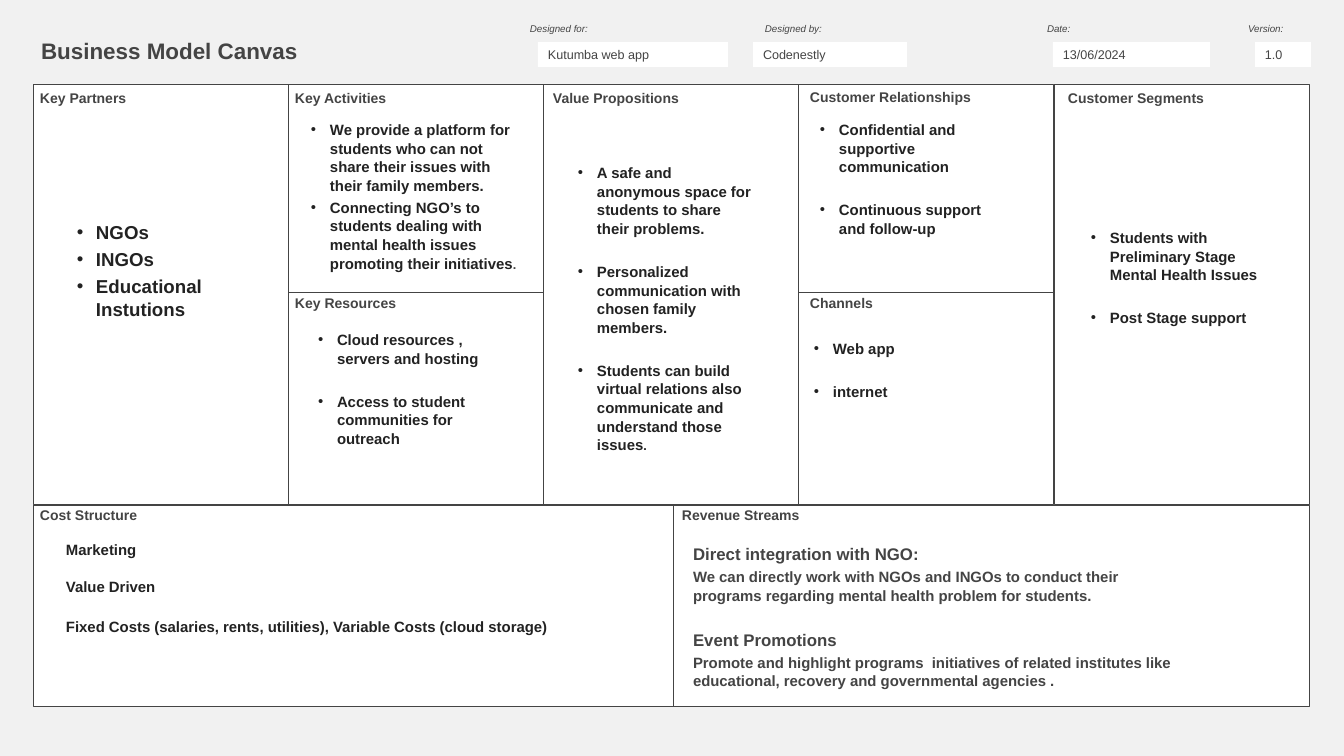
from lxml.etree import SubElement
from pptx import Presentation
from pptx.dml.color import RGBColor
from pptx.enum.shapes import MSO_SHAPE as SHAPE
from pptx.enum.text import MSO_ANCHOR as ANCHOR, MSO_AUTO_SIZE as AUTO, PP_ALIGN as ALIGN
from pptx.oxml.ns import qn
from pptx.util import Emu, Pt

PX = 914400 / 67.2
DARK, BLACK, WHITE = "444444", "222222", "FFFFFF"


def color(value):
    return RGBColor.from_string(value)


def put(sp, box, inset=(7, 3)):
    sp.left, sp.top, sp.width, sp.height = [Emu(round(v * PX)) for v in box]
    tf = sp.text_frame
    tf.word_wrap = True
    tf.auto_size = AUTO.NONE
    tf.vertical_anchor = ANCHOR.TOP
    tf.margin_left = tf.margin_right = Emu(round(inset[0] * PX))
    tf.margin_top = tf.margin_bottom = Emu(round(inset[1] * PX))
    return tf


prs = Presentation()
prs.slide_width, prs.slide_height = Emu(round(1344 * PX)), Emu(round(756 * PX))
s = prs.slides.add_slide(prs.slide_layouts[4])
s.background.fill.solid()
s.background.fill.fore_color.rgb = color("F1F1F1")

tf = put(s.shapes.title, (34, 34, 349, 34))
tf.text = "Business Model Canvas"
p = tf.paragraphs[0]
p.alignment = ALIGN.LEFT
f = p.runs[0].font
f.name, f.size, f.bold, f.color.rgb = "Arial", Pt(24), True, color(DARK)

panels = [
    (33, 84, 1276, 621),
    (33, 84, 255, 420),
    (288, 84, 255, 208),
    (288, 292, 255, 212),
    (543, 84, 255, 420),
    (798, 84, 255, 208),
    (798, 292, 255, 212),
    (1054, 84, 255, 420),
    (33, 505, 640, 201),
    (673, 505, 636, 201),
]
for i, box in enumerate(panels):
    sp = s.shapes.add_shape(SHAPE.RECTANGLE, *[Emu(round(v * PX)) for v in box])
    sp.shadow.inherit = False
    sp.line.width = Pt(0.75)
    sp.line.color.rgb = color(DARK if i else WHITE)
    if i:
        sp.fill.background()
    else:
        sp.fill.solid()
        sp.fill.fore_color.rgb = color(WHITE)
        sp.element.getparent().insert(2, sp.element)

labels = [
    ("Designed for:", 523, 20, 190),
    ("Designed by:", 758, 20, 190),
    ("Date:", 1040, 20, 165),
    ("Version:", 1241, 20, 84),
]
fields = [
    ("Kutumba web app", 538, 42, 190),
    ("Codenestly", 753, 42, 154),
    ("13/06/2024", 1053, 42, 157),
    ("1.0", 1255, 42, 56),
]
headings = [
    ("Key Partners", 33, 87, 237),
    ("Key Activities", 288, 87, 237),
    ("Key Resources", 288, 292, 237),
    ("Value Propositions", 546, 87, 237),
    ("Customer Relationships", 803, 86, 237),
    ("Channels", 803, 292, 237),
    ("Customer Segments", 1061, 87, 237),
    ("Cost Structure", 33, 504, 237),
    ("Revenue Streams", 675, 504, 237),
]
groups = [
    (labels, 19, 10.5, False, True, (7, 3)),
    (fields, 25, 13.5, False, False, (10, 5)),
    (headings, 24, 15, True, False, (7, 3)),
]
for rows, height, size, bold, italic, inset in groups:
    for text, x, y, width in rows:
        sp = s.shapes.add_textbox(0, 0, 0, 0)
        tf = put(sp, (x, y, width, height), inset)
        tf.text = text
        f = tf.paragraphs[0].runs[0].font
        f.name, f.size, f.bold, f.italic = "Arial", Pt(size), bold, italic
        f.color.rgb = color(DARK)
        if rows is fields:
            sp.fill.solid()
            sp.fill.fore_color.rgb = color(WHITE)

lists = [
    ((67, 215, 193, 120), 20, 4, ["NGOs", "INGOs", "Educational Instutions"], None),
    ((301, 115, 230, 169), 16, 3.2, [
        "We provide a platform for students who can not share their issues with their family members.",
        "Connecting NGO’s to students dealing with mental health issues promoting their initiatives",
    ], DARK),
    ((568, 158, 194, 288), 16, 26, [
        "A safe and anonymous space for students to share their problems.",
        "Personalized communication with chosen family members.",
        "Students can build virtual relations also communicate and understand those issues",
    ], BLACK),
    ((810, 115, 194, 123), 16, 26, [
        "Confidential and supportive communication",
        "Continuous support and follow-up",
    ], None),
    ((1081, 223, 194, 166), 16, 26, [
        "Students with Preliminary Stage Mental Health Issues",
        "Post Stage support",
    ], None),
    ((804, 334, 137, 83), 16, 26, ["Web app", "internet"], None),
    ((308, 325, 194, 169), 16, 26, [
        "Cloud resources , servers and hosting",
        "Access to student communities for outreach",
    ], None),
]
bodies = [ph for ph in s.placeholders if ph.placeholder_format.idx > 0]
for i, (box, size, gap, items, stop) in enumerate(lists):
    sp = bodies[i] if i < len(bodies) else s.shapes.add_textbox(0, 0, 0, 0)
    sp.fill.solid()
    sp.fill.fore_color.rgb = color(WHITE)
    tf = put(sp, box, (10, 5))
    tf.text = "\n".join(items)
    if stop:
        tf.paragraphs[-1].add_run().text = "."
    for n, p in enumerate(tf.paragraphs):
        pPr = p._p.get_or_add_pPr()
        pPr.set("marL", str(round(19 * PX)))
        pPr.set("indent", str(round(-19 * PX)))
        SubElement(pPr, qn("a:buFont")).set("typeface", "Arial")
        SubElement(pPr, qn("a:buChar")).set("char", "•")
        p.line_spacing = 1.04
        p.space_before = Pt(gap if n else 0)
        for r in p.runs:
            f = r.font
            f.name, f.size, f.bold = "Arial", Pt(size), True
            f.color.rgb = color(BLACK)
    if stop:
        f.size = Pt(13.5)
        f.color.rgb = color(stop)

notes = [
    ((56, 535, 503, 160), BLACK, [
        ("Marketing", 16, 0),
        ("Value Driven", 16, 20),
        ("Fixed Costs (salaries, rents, utilities), Variable Costs (cloud storage)", 16, 22),
    ]),
    ((683, 538, 500, 160), DARK, [
        ("Direct integration with NGO:", 18, 0),
        ("We can directly work with NGOs and INGOs to conduct their programs regarding "
         "mental health problem for students.", 16, 3.2),
        ("Event Promotions", 18, 26),
        ("Promote and highlight programs  initiatives of related institutes like "
         "educational, recovery and governmental agencies .", 16, 3.2),
    ]),
]
for box, ink, rows in notes:
    sp = s.shapes.add_textbox(0, 0, 0, 0)
    sp.fill.solid()
    sp.fill.fore_color.rgb = color(WHITE)
    tf = put(sp, box, (10, 5))
    tf.text = "\n".join(text for text, size, gap in rows)
    for p, (text, size, gap) in zip(tf.paragraphs, rows):
        p.line_spacing = 1.04
        p.space_before = Pt(gap)
        f = p.runs[0].font
        f.name, f.size, f.bold, f.color.rgb = "Arial", Pt(size), True, color(ink)

prs.save("out.pptx")
